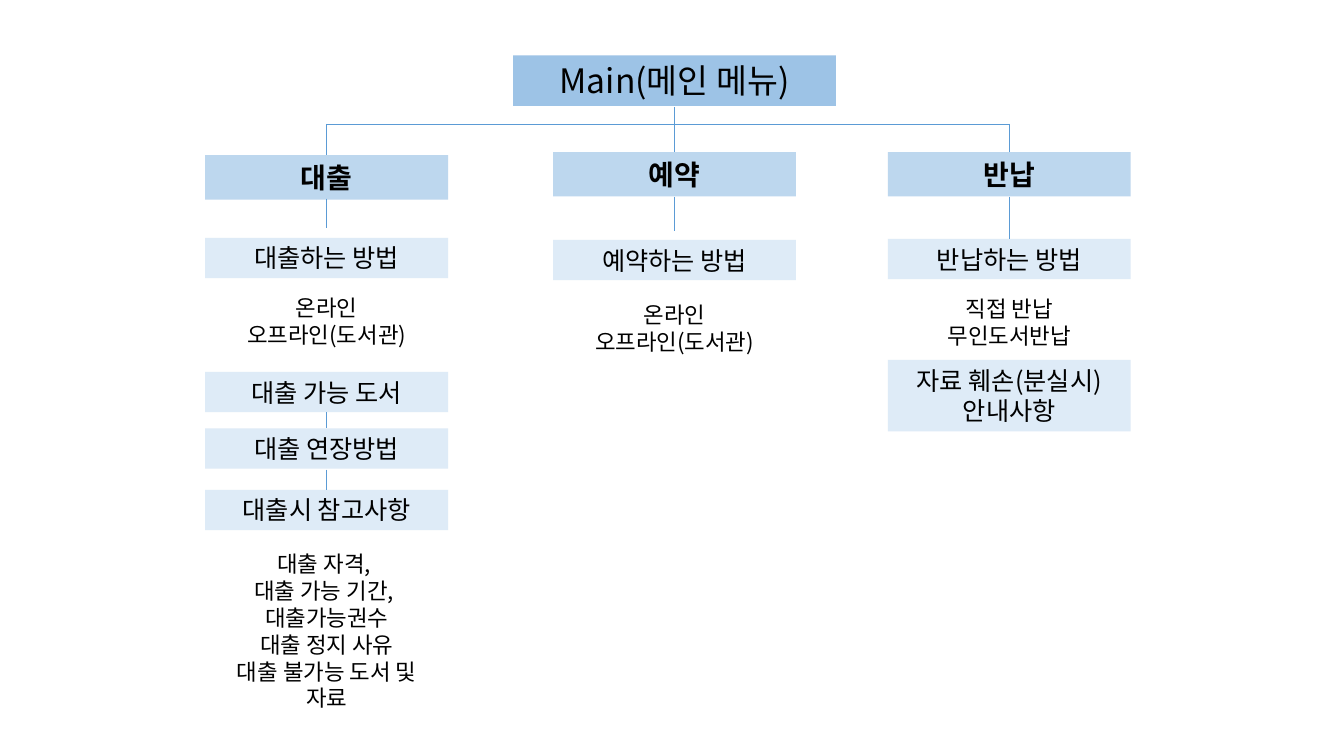
"""Build the library menu chart: one main menu over three branches."""
from dataclasses import dataclass

from lxml import etree
from pptx import Presentation
from pptx.dml.color import RGBColor
from pptx.enum.shapes import MSO_CONNECTOR, MSO_SHAPE
from pptx.enum.text import MSO_ANCHOR, MSO_AUTO_SIZE, PP_ALIGN
from pptx.oxml.ns import qn
from pptx.util import Inches, Pt

RECTANGLE, STRAIGHT = MSO_SHAPE.RECTANGLE, MSO_CONNECTOR.STRAIGHT
TOP, CENTER = MSO_ANCHOR.TOP, PP_ALIGN.CENTER
FIT = MSO_AUTO_SIZE.SHAPE_TO_FIT_TEXT

FONT = "Noto Sans CJK KR"
BLACK = RGBColor(0x00, 0x00, 0x00)
MAIN_BLUE = RGBColor(0x9D, 0xC3, 0xE6)
BRANCH_BLUE = RGBColor(0xBD, 0xD7, 0xEE)
ITEM_BLUE = RGBColor(0xDE, 0xEB, 0xF7)
LINE_BLUE = RGBColor(0x5B, 0x9B, 0xD5)

MAIN_WIDTH, BRANCH_WIDTH = 3.2, 2.41
MAIN_TOP, MAIN_BOTTOM, RAIL_Y = 0.55, 1.06, 1.23


@dataclass(frozen=True)
class Style:
    """Look of one menu level."""
    size: int
    fill: RGBColor | None = None
    bold: bool = False


@dataclass(frozen=True)
class Entry:
    """One block of text in a branch."""
    style: Style
    top: float
    height: float
    text: str


@dataclass(frozen=True)
class Branch:
    """A column of entries with its vertical lines below the rail."""
    center: float
    entries: tuple[Entry, ...]
    links: tuple[tuple[float, float], ...]


MAIN = Style(24, MAIN_BLUE)
HEAD = Style(20, BRANCH_BLUE, True)
ITEM = Style(18, ITEM_BLUE)
NOTE = Style(16)

BRANCHES = (
    Branch(3.24, (
        Entry(HEAD, 1.54, 0.44, "대출"),
        Entry(ITEM, 2.36, 0.4, "대출하는 방법"),
        Entry(NOTE, 2.87, 0.64, "온라인\n오프라인(도서관)"),
        Entry(ITEM, 3.69, 0.4, "대출 가능 도서"),
        Entry(ITEM, 4.25, 0.4, "대출 연장방법"),
        Entry(ITEM, 4.86, 0.4, "대출시 참고사항"),
        Entry(NOTE, 5.41, 1.72, "대출 자격, \n대출 가능 기간, \n대출가능권수\n"
                                "대출 정지 사유\n대출 불가능 도서 및 자료"),
    ), ((RAIL_Y, 1.54), (1.97, 2.26), (4.09, 4.25), (4.66, 4.86))),
    Branch(6.69, (
        Entry(HEAD, 1.51, 0.44, "예약"),
        Entry(ITEM, 2.38, 0.4, "예약하는 방법"),
        Entry(NOTE, 2.94, 0.64, "온라인\n오프라인(도서관)"),
    ), ((MAIN_BOTTOM, RAIL_Y), (RAIL_Y, 1.51), (1.95, 2.29))),
    Branch(10.01, (
        Entry(HEAD, 1.51, 0.44, "반납"),
        Entry(ITEM, 2.37, 0.4, "반납하는 방법"),
        Entry(NOTE, 2.88, 0.64, "직접 반납\n무인도서반납"),
        Entry(ITEM, 3.57, 0.71, "자료 훼손(분실시)\n안내사항"),
    ), ((RAIL_Y, 1.51), (1.95, 2.37))),
)


def add_entry(shapes, entry: Entry, center: float, width: float) -> None:
    """Draw an entry centred on a column."""
    box = [Inches(v) for v in (center - width / 2, entry.top, width, entry.height)]
    style = entry.style
    if style.fill is None:
        sp = shapes.add_textbox(*box)
    else:
        sp = shapes.add_shape(RECTANGLE, *box)
        sp.shadow.inherit = False
        sp.fill.solid()
        sp.fill.fore_color.rgb = style.fill
        sp.line.fill.background()
    tf = sp.text_frame
    tf.word_wrap = True
    tf.auto_size = FIT
    tf.vertical_anchor = TOP
    tf.text = entry.text
    for p in tf.paragraphs:
        p.alignment = CENTER
        for r in p.runs:
            r.font.name = FONT
            r.font.size = Pt(style.size)
            r.font.bold = style.bold
            r.font.color.rgb = BLACK
            ea = etree.SubElement(r.font._element, qn("a:ea"))
            ea.set("typeface", FONT)


def add_line(shapes, x1: float, y1: float, x2: float, y2: float) -> None:
    """Draw a thin blue line."""
    cxn = shapes.add_connector(STRAIGHT, *(Inches(v) for v in (x1, y1, x2, y2)))
    cxn.line.color.rgb = LINE_BLUE
    cxn.line.width = Pt(0.5)
    etree.SubElement(cxn._element.spPr, qn("a:effectLst"))


prs = Presentation()
prs.slide_width, prs.slide_height = Inches(13.33), Inches(7.5)
s = prs.slides.add_slide(prs.slide_layouts[6])

add_entry(s.shapes, Entry(MAIN, MAIN_TOP, 0.5, "Main(메인 메뉴)"),
          BRANCHES[1].center, MAIN_WIDTH)
add_line(s.shapes, BRANCHES[0].center, RAIL_Y, BRANCHES[-1].center, RAIL_Y)
for branch in BRANCHES:
    for entry in branch.entries:
        add_entry(s.shapes, entry, branch.center, BRANCH_WIDTH)
    for start, end in branch.links:
        add_line(s.shapes, branch.center, start, branch.center, end)

prs.save("out.pptx")
